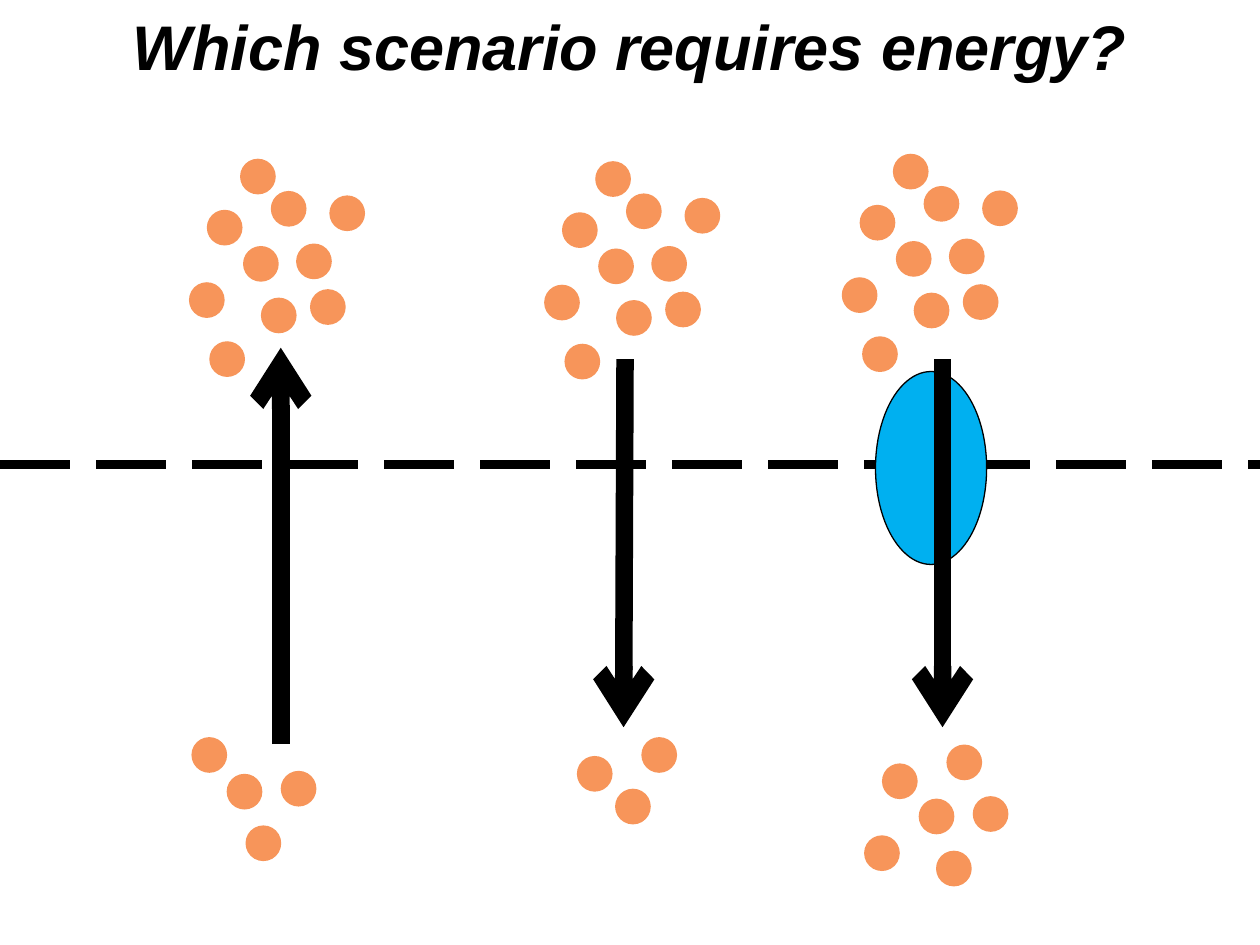
from lxml import etree
from pptx import Presentation
from pptx.dml.color import RGBColor
from pptx.enum.dml import MSO_LINE
from pptx.enum.shapes import MSO_CONNECTOR, MSO_SHAPE
from pptx.enum.text import MSO_ANCHOR, PP_ALIGN
from pptx.oxml.ns import qn
from pptx.util import Cm, Pt

OVAL = MSO_SHAPE.OVAL
STRAIGHT = MSO_CONNECTOR.STRAIGHT
LONG_DASH = MSO_LINE.LONG_DASH
CENTER = PP_ALIGN.CENTER
TOP = MSO_ANCHOR.TOP

TITLE = "Which scenario requires energy?"
BLACK, ORANGE, BLUE = "000000", "F7955A", "00B0F0"
PARTICLE = 0.72
MEMBRANE_Y = 9.37
PROTEIN = (17.65, 7.49, 2.24, 3.89)

UPPER_CLUSTER = [
    (0.36, 1.03), (1.09, 1.76), (1.65, 0.65), (0, 2.49), (1.45, 2.8),
    (2.16, 1.71), (0.41, 3.68), (1.03, 0), (2.83, 0.74), (2.44, 2.63),
]
SCENARIOS = [
    {
        "upper": (3.81, 3.2),
        "lower": [(3.86, 14.86), (4.57, 15.6), (4.95, 16.64), (5.66, 15.54)],
        "arrow": (5.66, 15, 5.66, 7.01),
    },
    {
        "upper": (10.97, 3.25),
        "lower": [(11.63, 15.24), (12.93, 14.86), (12.4, 15.9)],
        "arrow": (12.6, 7.24, 12.57, 14.66),
    },
    {
        "upper": (16.97, 3.1),
        "lower": [(17.78, 15.39), (18.52, 16.1), (19.08, 15.01),
                  (17.42, 16.84), (18.87, 17.15), (19.61, 16.05)],
        "arrow": (19, 7.24, 19, 14.66),
    },
]


def color(value):
    return RGBColor.from_string(value)


def add_oval(slide, left, top, width, height, fill, outline=None):
    oval = slide.shapes.add_shape(OVAL, Cm(left), Cm(top), Cm(width), Cm(height))
    oval.shadow.inherit = False
    oval.fill.solid()
    oval.fill.fore_color.rgb = color(fill)
    if outline:
        oval.line.color.rgb = color(outline)
        oval.line.width = Pt(0.75)
    else:
        oval.line.fill.background()


def add_line(slide, ends, width, dash=None, arrow=False):
    connector = slide.shapes.add_connector(STRAIGHT, *[Cm(end) for end in ends])
    connector.line.color.rgb = color(BLACK)
    connector.line.width = Pt(width)
    if dash:
        connector.line.dash_style = dash
    if arrow:
        outline = connector.line._get_or_add_ln()
        etree.SubElement(outline, qn("a:tailEnd"), type="arrow")
    etree.SubElement(connector._element.spPr, qn("a:effectLst"))


def add_title(slide):
    title = slide.shapes.title
    title.left, title.top = Cm(0.5), Cm(0.2)
    title.width, title.height = Cm(24.4), Cm(2.29)
    frame = title.text_frame
    frame.word_wrap = True
    frame.vertical_anchor = TOP
    frame.margin_left = frame.margin_right = frame.margin_bottom = 0
    frame.margin_top = Cm(0.12)
    para = frame.paragraphs[0]
    para.alignment = CENTER
    para.line_spacing = 0.9
    span = para.add_run()
    span.text = TITLE
    span.font.name = "Arial"
    span.font.size = Pt(36)
    span.font.bold = span.font.italic = True
    span.font.color.rgb = color(BLACK)


def main():
    deck = Presentation()
    deck.slide_width, deck.slide_height = Cm(25.4), Cm(19.05)
    slide = deck.slides.add_slide(deck.slide_layouts[5])
    add_title(slide)
    add_line(slide, (0, MEMBRANE_Y, 25.4, MEMBRANE_Y), 5, dash=LONG_DASH)
    add_oval(slide, *PROTEIN, BLUE, BLACK)
    for scenario in SCENARIOS:
        left, top = scenario["upper"]
        upper = [(left + dx, top + dy) for dx, dy in UPPER_CLUSTER]
        for x, y in upper + scenario["lower"]:
            add_oval(slide, x, y, PARTICLE, PARTICLE, ORANGE)
        add_line(slide, scenario["arrow"], 10, arrow=True)
    deck.save("out.pptx")


if __name__ == "__main__":
    main()
